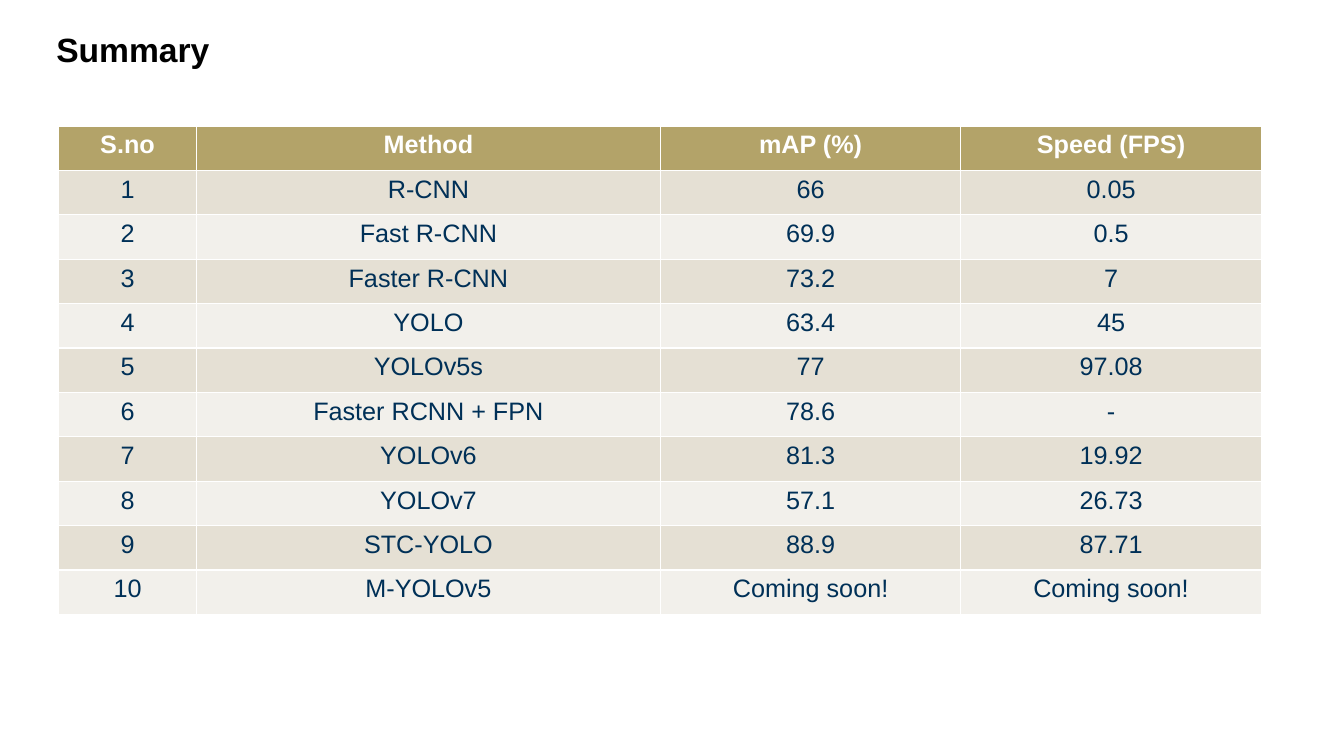
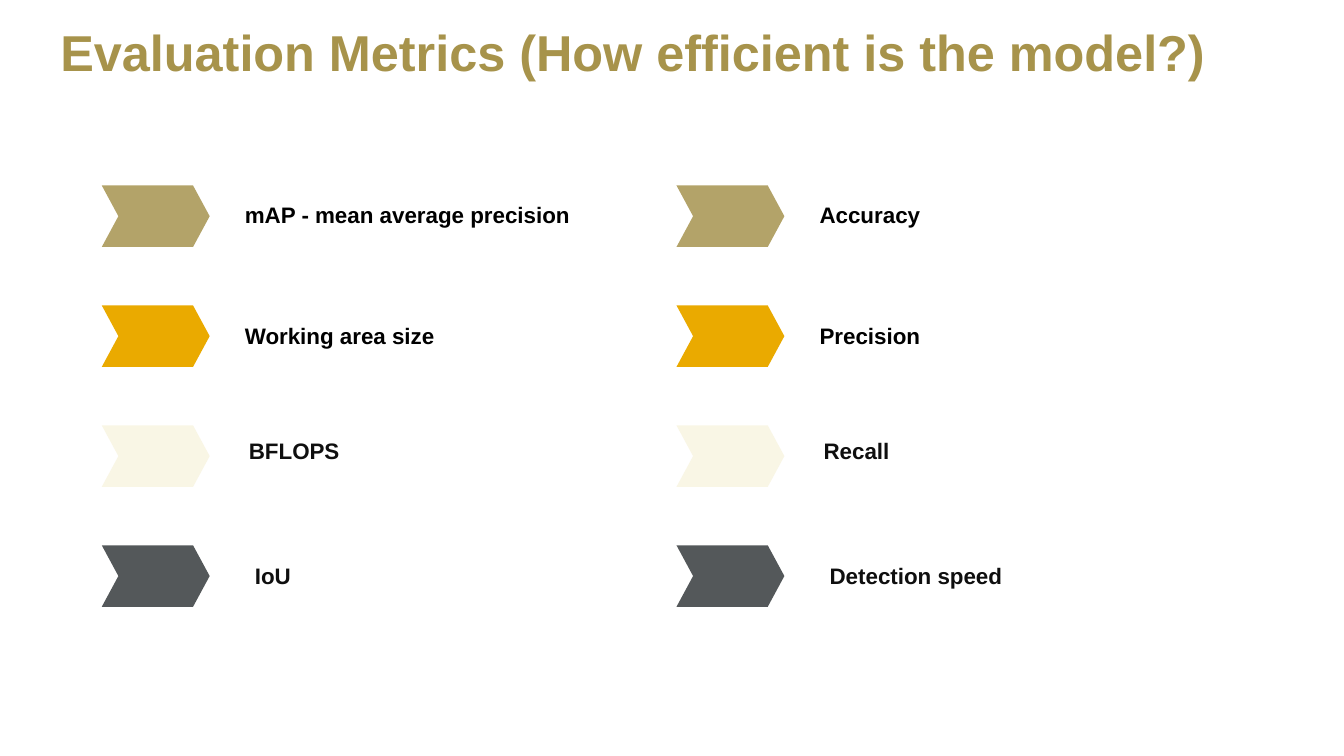
"""Build two slides: a detector comparison table and a list of evaluation metrics."""
from pptx import Presentation
from pptx.dml.color import RGBColor
from pptx.enum.shapes import MSO_SHAPE as Shape
from pptx.enum.text import MSO_ANCHOR as Anchor, PP_ALIGN as Align
from pptx.util import Inches, Pt

FONT = "Arial"
COLORS = {
    "black": "000000", "ink": "0F0F0F", "white": "FFFFFF", "navy": "003057",
    "gold": "B3A369", "deep_gold": "A7934B", "amber": "EAAA00",
    "cream": "F9F6E5", "slate": "54585A",
    "band_dark": "E5E0D4", "band_light": "F2F0EB",
}
TITLE_WIDTH = 12.28

METHODS_HEADER = ("S.no", "Method", "mAP (%)", "Speed (FPS)")
METHODS = [
    ("R-CNN", "66", "0.05"),
    ("Fast R-CNN", "69.9", "0.5"),
    ("Faster R-CNN", "73.2", "7"),
    ("YOLO", "63.4", "45"),
    ("YOLOv5s", "77", "97.08"),
    ("Faster RCNN + FPN", "78.6", "-"),
    ("YOLOv6", "81.3", "19.92"),
    ("YOLOv7", "57.1", "26.73"),
    ("STC-YOLO", "88.9", "87.71"),
    ("M-YOLOv5", "Coming soon!", "Coming soon!"),
]
COLUMN_WIDTHS = (1.37, 4.6, 2.98, 2.98)
TABLE_LEFT, TABLE_TOP, TABLE_HEIGHT = 0.58, 1.25, 4.85

METRICS = [
    ("mAP - mean average precision", "Accuracy"),
    ("Working area size", "Precision"),
    ("BFLOPS", "Recall"),
    ("IoU", "Detection speed"),
]
METRIC_STYLES = [
    {"fill": "gold", "text": "black", "offset": (1.32, 0.11)},
    {"fill": "amber", "text": "black", "offset": (1.32, 0.12)},
    {"fill": "cream", "text": "ink", "offset": (1.36, 0.07)},
    {"fill": "slate", "text": "ink", "offset": (1.42, 0.12)},
]
GRID_LEFT, GRID_TOP, COLUMN_STEP, ROW_STEP = 1.01, 1.84, 5.7, 1.19
CHEVRON_SIZE = (1.07, 0.61)
LABEL_SIZE = (3.45, 0.37)


def rgb(name):
    return RGBColor.from_string(COLORS[name])


def write(frame, text, size, color, bold=True, **paragraph_format):
    paragraph = frame.paragraphs[0]
    paragraph.text = text
    for name, value in paragraph_format.items():
        setattr(paragraph, name, value)
    for name, value in {"name": FONT, "size": Pt(size), "bold": bold}.items():
        setattr(paragraph.font, name, value)
    paragraph.font.color.rgb = rgb(color)


def add_text(slide, box, text, size, color, anchor=Anchor.TOP, **paragraph_format):
    frame = slide.shapes.add_textbox(*map(Inches, box)).text_frame
    frame.word_wrap = True
    frame.vertical_anchor = anchor
    write(frame, text, size, color, **paragraph_format)


def add_titled_slide(deck, title, left, top, height, size, color):
    slide = deck.slides.add_slide(deck.slide_layouts[6])
    add_text(slide, (left, top, TITLE_WIDTH, height), title, size, color,
             Anchor.MIDDLE, line_spacing=0.9)
    return slide


def add_methods_table(slide):
    rows = [METHODS_HEADER] + [(str(n), *method) for n, method in enumerate(METHODS, 1)]
    box = (TABLE_LEFT, TABLE_TOP, sum(COLUMN_WIDTHS), TABLE_HEIGHT)
    table = slide.shapes.add_table(len(rows), len(COLUMN_WIDTHS), *map(Inches, box)).table
    for column, width in zip(table.columns, COLUMN_WIDTHS):
        column.width = Inches(width)
    for r, row in enumerate(rows):
        header = r == 0
        fill = "gold" if header else ("band_light", "band_dark")[r % 2]
        for c, text in enumerate(row):
            cell = table.cell(r, c)
            cell.fill.solid()
            cell.fill.fore_color.rgb = rgb(fill)
            write(cell.text_frame, text, 18, "white" if header else "navy",
                  bold=header, alignment=Align.CENTER)


def add_metric(slide, left, top, label, style):
    chevron = slide.shapes.add_shape(
        Shape.CHEVRON, *map(Inches, (left, top, *CHEVRON_SIZE)))
    chevron.adjustments[0] = 0.27
    chevron.shadow.inherit = False
    chevron.fill.solid()
    chevron.fill.fore_color.rgb = rgb(style["fill"])
    chevron.line.fill.background()
    dx, dy = style["offset"]
    add_text(slide, (left + dx, top + dy, *LABEL_SIZE), label, 16, style["text"])


def main():
    deck = Presentation()
    deck.slide_width, deck.slide_height = Inches(13.33), Inches(7.5)

    summary = add_titled_slide(deck, "Summary", 0.46, 0.2, 0.63, 24, "black")
    add_methods_table(summary)

    evaluation = add_titled_slide(
        deck, "Evaluation Metrics (How efficient is the model?)",
        0.5, 0.07, 0.95, 36, "deep_gold")
    for r, (labels, style) in enumerate(zip(METRICS, METRIC_STYLES)):
        for c, label in enumerate(labels):
            add_metric(evaluation, GRID_LEFT + c * COLUMN_STEP,
                       GRID_TOP + r * ROW_STEP, label, style)

    deck.save("out.pptx")


if __name__ == "__main__":
    main()
